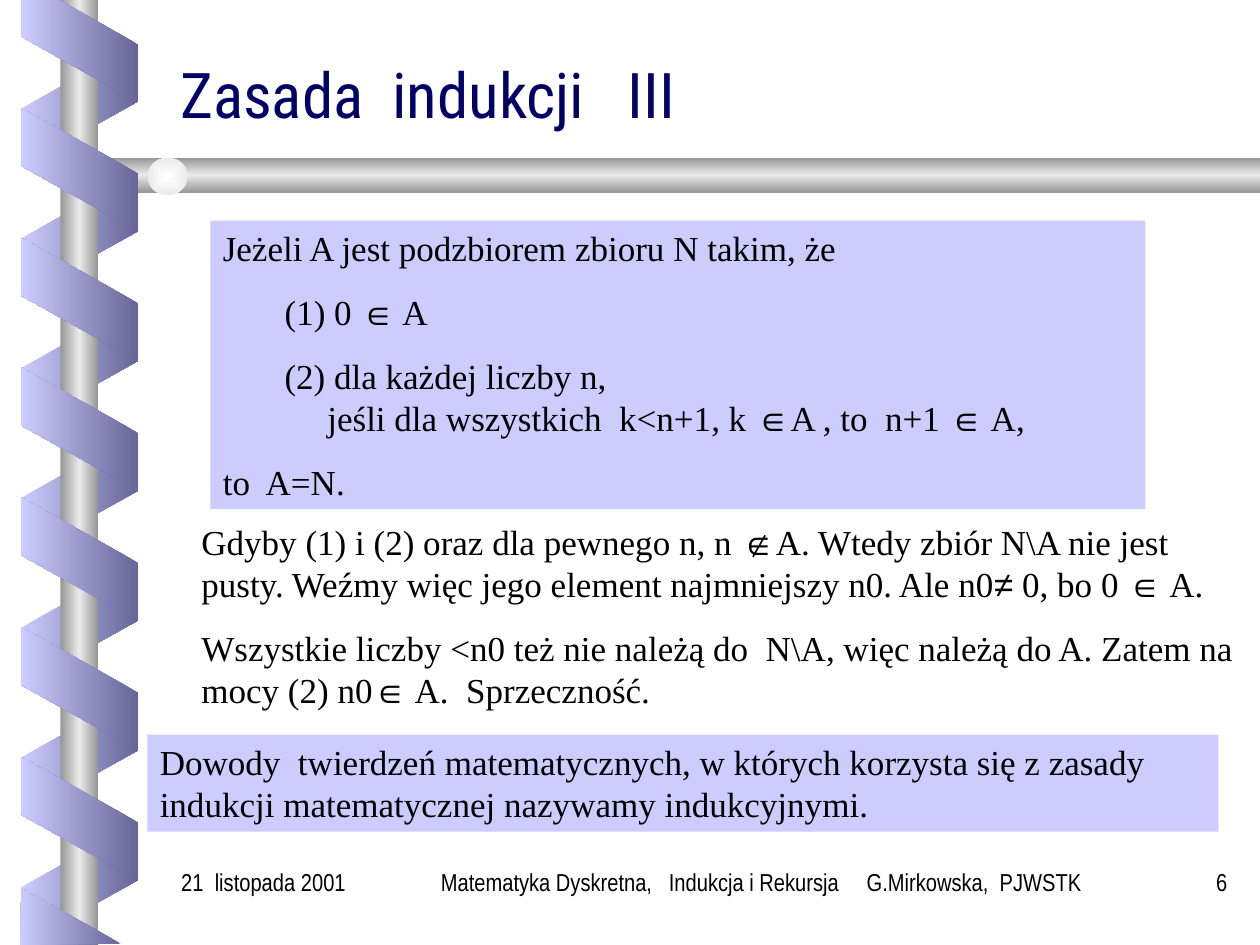
import itertools

import pptx
import pptx.dml.color
import pptx.enum.shapes
import pptx.enum.text
import pptx.oxml
import pptx.oxml.ns
import pptx.util

Inches = pptx.util.Inches
Pt = pptx.util.Pt
RGBColor = pptx.dml.color.RGBColor
SHAPE = pptx.enum.shapes.MSO_SHAPE
ALIGN = pptx.enum.text.PP_ALIGN
ANCHOR = pptx.enum.text.MSO_ANCHOR

LILAC = RGBColor(0xCC, 0xCC, 0xFF)
VIOLET = RGBColor(0x66, 0x66, 0x99)
GREY = RGBColor(0x96, 0x96, 0x96)
SILVER = RGBColor(0xEA, 0xEA, 0xEA)
PEARL = RGBColor(0xFE, 0xFF, 0xFF)
NAVY = RGBColor(0x00, 0x00, 0x66)
BLACK = RGBColor(0x00, 0x00, 0x00)

METAL = (GREY, SILVER, GREY)
MATH_SYMBOLS = "∈∉≠"
LINE_BREAK = "\n"
COIL_STEP = 1.03

# Each paragraph: text, left margin, first-line indent
PRINCIPLE = [
    ("Jeżeli A jest podzbiorem zbioru N takim, że", 0, 0),
    ("(1) 0 ∈ A", 0.49, 0),
    ("(2) dla każdej liczby n,\njeśli dla wszystkich  k<n+1, k ∈A , to  n+1 ∈ A,", 0.83, -0.34),
    ("to  A=N.", 0, 0),
]
PROOF = [
    ("Gdyby (1) i (2) oraz dla pewnego n, n ∉A. Wtedy zbiór N\\A nie jest pusty. "
     "Weźmy więc jego element najmniejszy n0. Ale n0≠ 0, bo 0 ∈ A.", 0, 0),
    ("Wszystkie liczby <n0 też nie należą do  N\\A, więc należą do A. "
     "Zatem na mocy (2) n0∈ A.  Sprzeczność.", 0, 0),
]
CONCLUSION = [
    ("Dowody  twierdzeń matematycznych, w których korzysta się z zasady "
     "indukcji matematycznej nazywamy indukcyjnymi.", 0, 0),
]


def fill_gradient(shape, colours, angle=None):
    """Evenly spaced stops; linear at an angle, or from the centre without one."""
    shape.shadow.inherit = False
    shape.line.fill.background()
    shape.fill.background()
    stops = "".join(
        f'<a:gs pos="{100000 * i // (len(colours) - 1)}"><a:srgbClr val="{colour}"/></a:gs>'
        for i, colour in enumerate(colours))
    if angle is None:
        direction = ('<a:path path="rect"><a:fillToRect l="50000" t="50000" '
                     'r="50000" b="50000"/></a:path>')
    else:
        direction = f'<a:lin ang="{angle * 60000}" scaled="0"/>'
    gradient = pptx.oxml.parse_xml(
        f'<a:gradFill {pptx.oxml.ns.nsdecls("a")} rotWithShape="0">'
        f'<a:gsLst>{stops}</a:gsLst>{direction}</a:gradFill>')
    properties = shape._element.spPr
    properties.replace(properties.find(pptx.oxml.ns.qn("a:noFill")), gradient)


def add_preset(slide, preset, left, top, width, height):
    return slide.shapes.add_shape(
        preset, Inches(left), Inches(top), Inches(width), Inches(height))


def add_outline(slide, points, colours, angle):
    corners = [(Inches(x), Inches(y)) for x, y in points]
    builder = slide.shapes.build_freeform(*corners[0])
    builder.add_line_segments(corners[1:], close=True)
    fill_gradient(builder.convert_to_shape(), colours, angle)


def add_coils(slide, first_top, count, front):
    for i in range(count):
        coil = add_preset(slide, SHAPE.PARALLELOGRAM, 0.14, first_top + i * COIL_STEP, 0.98, 0.93)
        coil.adjustments[0] = 0.56
        coil.rotation = 270 if front else 90
        if not front:
            coil._element.spPr.xfrm.set("flipH", "1")
        fill_gradient(coil, (VIOLET, LILAC) if front else (LILAC, VIOLET), 180)


def style_font(font, name, size, colour):
    font.name = name
    font.size = Pt(size)
    font.color.rgb = colour


def text_kind(character):
    if character == LINE_BREAK:
        return "break"
    return "symbol" if character in MATH_SYMBOLS else "words"


def write_paragraphs(frame, paragraphs):
    frame.word_wrap = True
    frame.vertical_anchor = ANCHOR.TOP
    for i, (text, margin, indent) in enumerate(paragraphs):
        paragraph = frame.paragraphs[0] if i == 0 else frame.add_paragraph()
        paragraph.alignment = ALIGN.LEFT
        paragraph.space_before = Pt(12.5 if i else 0)
        layout = paragraph._p.get_or_add_pPr()
        layout.set("marL", str(Inches(margin)))
        layout.set("indent", str(Inches(indent)))
        for kind, characters in itertools.groupby(text, text_kind):
            if kind == "break":
                paragraph.add_line_break()
                continue
            run = paragraph.add_run()
            run.text = "".join(characters)
            style_font(run.font, "Arial" if kind == "symbol" else "Times New Roman", 20, BLACK)


def add_panel(slide, left, top, width, height, paragraphs):
    panel = add_preset(slide, SHAPE.RECTANGLE, left, top, width, height)
    panel.shadow.inherit = False
    panel.fill.solid()
    panel.fill.fore_color.rgb = LILAC
    panel.line.fill.background()
    write_paragraphs(panel.text_frame, paragraphs)


def add_text(slide, left, top, width, height):
    box = slide.shapes.add_textbox(Inches(left), Inches(top), Inches(width), Inches(height))
    box.text_frame.word_wrap = True
    return box.text_frame


def add_footer(slide, left, width, text, alignment):
    frame = add_text(slide, left, 6.83, width, 0.5)
    frame.text = text
    paragraph = frame.paragraphs[0]
    paragraph.alignment = alignment
    style_font(paragraph.runs[0].font, "Arial Narrow", 14, BLACK)


def add_title(slide, text):
    title = slide.shapes.title
    title.left, title.top, title.width, title.height = map(Inches, (1.33, 0.46, 8.5, 0.63))
    frame = title.text_frame
    frame.text = text
    frame.auto_size = pptx.enum.text.MSO_AUTO_SIZE.NONE
    frame.vertical_anchor = ANCHOR.BOTTOM
    paragraph = frame.paragraphs[0]
    paragraph.alignment = ALIGN.LEFT
    paragraph.line_spacing = 0.8
    style_font(paragraph.runs[0].font, "Roboto Condensed", 36, NAVY)


def add_spiral_binding(slide):
    # Ribbon behind the rod
    add_coils(slide, 0.37, 7, front=False)
    # Vertical rod, horizontal bar and bead
    rod = add_preset(slide, SHAPE.RECTANGLE, 0.48, 0, 0.3, 7.5)
    fill_gradient(rod, METAL, 180)
    add_outline(slide, [(10, 1.25), (0.76, 1.25), (0.6, 1.39), (0.76, 1.53), (10, 1.53)],
                METAL, 90)
    bead = add_preset(slide, SHAPE.OVAL, 1.17, 1.25, 0.32, 0.3)
    fill_gradient(bead, (PEARL, SILVER))
    # Ribbon in front of the rod, cut off at the slide edges
    add_coils(slide, 0.88, 6, front=True)
    add_outline(slide, [(0.17, 0), (0.17, 0.29), (1.09, 0.81), (1.09, 0.35), (0.47, 0)],
                (VIOLET, LILAC), 180)
    add_outline(slide, [(0.96, 7.49), (0.17, 7.05), (0.16, 7.5)], (VIOLET, LILAC), 180)


def main():
    presentation = pptx.Presentation()
    presentation.slide_width = Inches(10)
    presentation.slide_height = Inches(7.5)
    slide = presentation.slides.add_slide(presentation.slide_layouts[5])

    add_spiral_binding(slide)
    add_title(slide, "Zasada  indukcji   III")

    # Conclusion, principle and proof
    add_panel(slide, 1.17, 5.83, 8.5, 0.77, CONCLUSION)
    add_panel(slide, 1.67, 1.75, 7.42, 2.29, PRINCIPLE)
    write_paragraphs(add_text(slide, 1.5, 4.08, 8.5, 1.61), PROOF)

    # Footer
    add_footer(slide, 3.17, 5.75,
               "Matematyka Dyskretna,   Indukcja i Rekursja     G.Mirkowska,  PJWSTK", ALIGN.CENTER)
    add_footer(slide, 9, 0.84, "6", ALIGN.RIGHT)
    add_footer(slide, 1.34, 1.74, "21  listopada 2001", ALIGN.LEFT)

    presentation.save("out.pptx")


if __name__ == "__main__":
    main()
